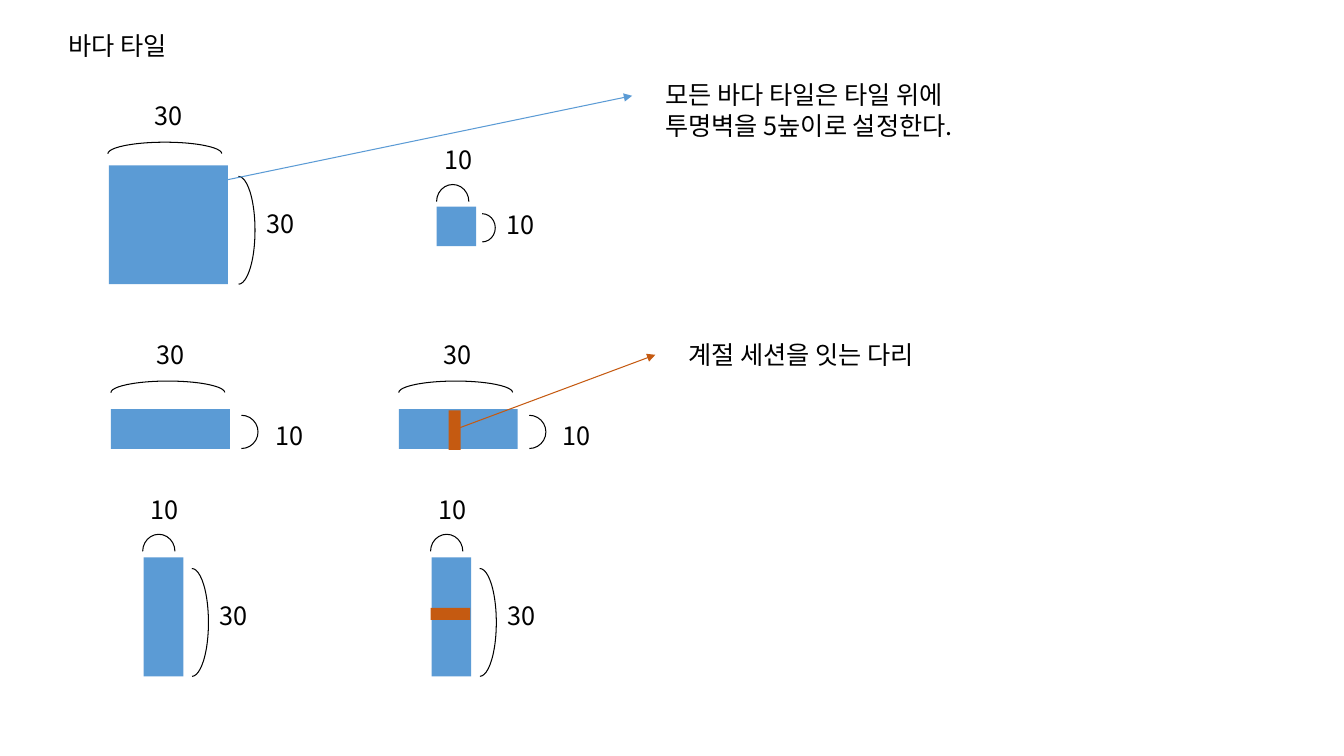
from dataclasses import dataclass
from pptx import Presentation
from pptx.dml.color import RGBColor as Rgb
from pptx.enum.shapes import MSO_CONNECTOR as Conn, MSO_SHAPE as Kind
from pptx.enum.text import MSO_ANCHOR as Anchor, PP_ALIGN as Align
from pptx.oxml.ns import qn
from pptx.util import Inches, Pt
from lxml.etree import SubElement as sub


@dataclass(frozen=True)
class Theme:
    sea: Rgb = Rgb.from_string("5B9BD5")
    wood: Rgb = Rgb.from_string("C55A11")
    ink: Rgb = Rgb.from_string("000000")
    font: str = "Noto Sans CJK KR"
    size: int = 18
    thin: float = 0.75


@dataclass(frozen=True)
class Form:
    cols: int
    rows: int
    side: tuple
    side_tag: tuple
    top: tuple
    top_tag: tuple


look = Theme()
CELL = 0.1
TEN = 11.8 / 3
ROW = 4.0

BIG = Form(3, 3, (-0.6, 1.1, 3.3, 10.7), (2.8, 3.8), (4.4, -6.8, 2.3, 11.3), (3.5, -6.9))
WIDE = Form(3, 1, (-0.5, 0.6, 3.3, 3.3), (3.5, 0.6), (4.5, -7.3, 2.3, 11.3), (3.5, -7.4))
TALL = Form(1, 3, (-0.8, 1.1, 3.3, 10.7), (2.6, 3.8), (-0.2, -2.2, 3.4, 3.2), (-0.3, -6.7))
SMALL = Form(1, 1, (-0.7, 0.7, 2.6, 2.8), (2.0, -0.2), (-0.1, -2.1, 3.4, 3.2), (-0.2, -6.7))


def grid(*cells):
    return [Inches(n * CELL) for n in cells]


def write(frame, text):
    frame.word_wrap = True
    frame.vertical_anchor = Anchor.TOP
    frame.text = text
    line = frame.paragraphs[0]
    line.alignment = Align.LEFT
    for run in line.runs:
        run.font.size = Pt(look.size)
        run.font.name = look.font
        run.font.color.rgb = look.ink
        sub(run.font._element, qn("a:ea"), typeface=look.font)


def label(slide, text, x, y, w=7.8, h=ROW):
    write(slide.shapes.add_textbox(*grid(x, y, w, h)).text_frame, text)


def block(slide, color, *box):
    rect = slide.shapes.add_shape(Kind.RECTANGLE, *grid(*box))
    rect.shadow.inherit = False
    rect.fill.solid()
    rect.fill.fore_color.rgb = color
    rect.line.fill.background()


def brace(slide, turn, *box):
    arc = slide.shapes.add_shape(Kind.ARC, *grid(*box))
    arc.shadow.inherit = False
    arc.adjustments[0] = 162
    arc.adjustments[1] = 53.836
    arc.rotation = turn
    arc.fill.background()
    arc.line.color.rgb = look.ink
    arc.line.width = Pt(look.thin)


def arrow(slide, color, *ends):
    link = slide.shapes.add_connector(Conn.STRAIGHT, *grid(*ends))
    link.line.color.rgb = color
    link.line.width = Pt(look.thin)
    sub(link.line._get_or_add_ln(), qn("a:tailEnd"), type="triangle")
    sub(link._element.spPr, qn("a:effectLst"))


def tile(slide, form, x, y):
    wide, high = form.cols * TEN, form.rows * TEN
    edge = x + wide
    block(slide, look.sea, x, y, wide, high)
    dx, dy, w, h = form.side
    brace(slide, 0, edge + dx, y + dy, w, h)
    dx, dy = form.side_tag
    label(slide, str(form.rows * 10), edge + dx, y + dy)
    dx, dy, w, h = form.top
    brace(slide, 270, x + dx, y + dy, w, h)
    dx, dy = form.top_tag
    label(slide, str(form.cols * 10), x + dx, y + dy)


def title(slide, text, *box):
    head = slide.shapes.title
    head.left, head.top, head.width, head.height = grid(*box)
    write(head.text_frame, text)


def tiles(slide):
    tile(slide, BIG, 10.8, 16.4)
    tile(slide, SMALL, 43.3, 20.5)
    for x in (11.0, 39.55):
        tile(slide, WIDE, x, 40.6)
    for x in (14.25, 42.8):
        tile(slide, TALL, x, 55.3)


def bridges(slide):
    block(slide, look.wood, 44.5, 40.7, 1.2, TEN)
    block(slide, look.wood, 42.7, 60.3, TEN, 1.2)


def notes(slide):
    arrow(slide, look.wood, 44.9, 42.7, 65, 35.2)
    label(slide, "계절 세션을 잇는 다리", 67.3, 33.2, 32.7)
    arrow(slide, look.sea, 20.8, 18.2, 62.7, 9.5)
    label(slide, "모든 바다 타일은 타일 위에 투명벽을 5높이로 설정한다.", 65, 7.4, 35, 7.1)


def main():
    deck = Presentation()
    deck.slide_width, deck.slide_height = Inches(13.33), Inches(7.5)
    slide = deck.slides.add_slide(deck.slide_layouts[5])
    title(slide, "바다 타일", 5.8, 2.5, 16.8, ROW)
    tiles(slide)
    bridges(slide)
    notes(slide)
    deck.save("out.pptx")


if __name__ == "__main__":
    main()
